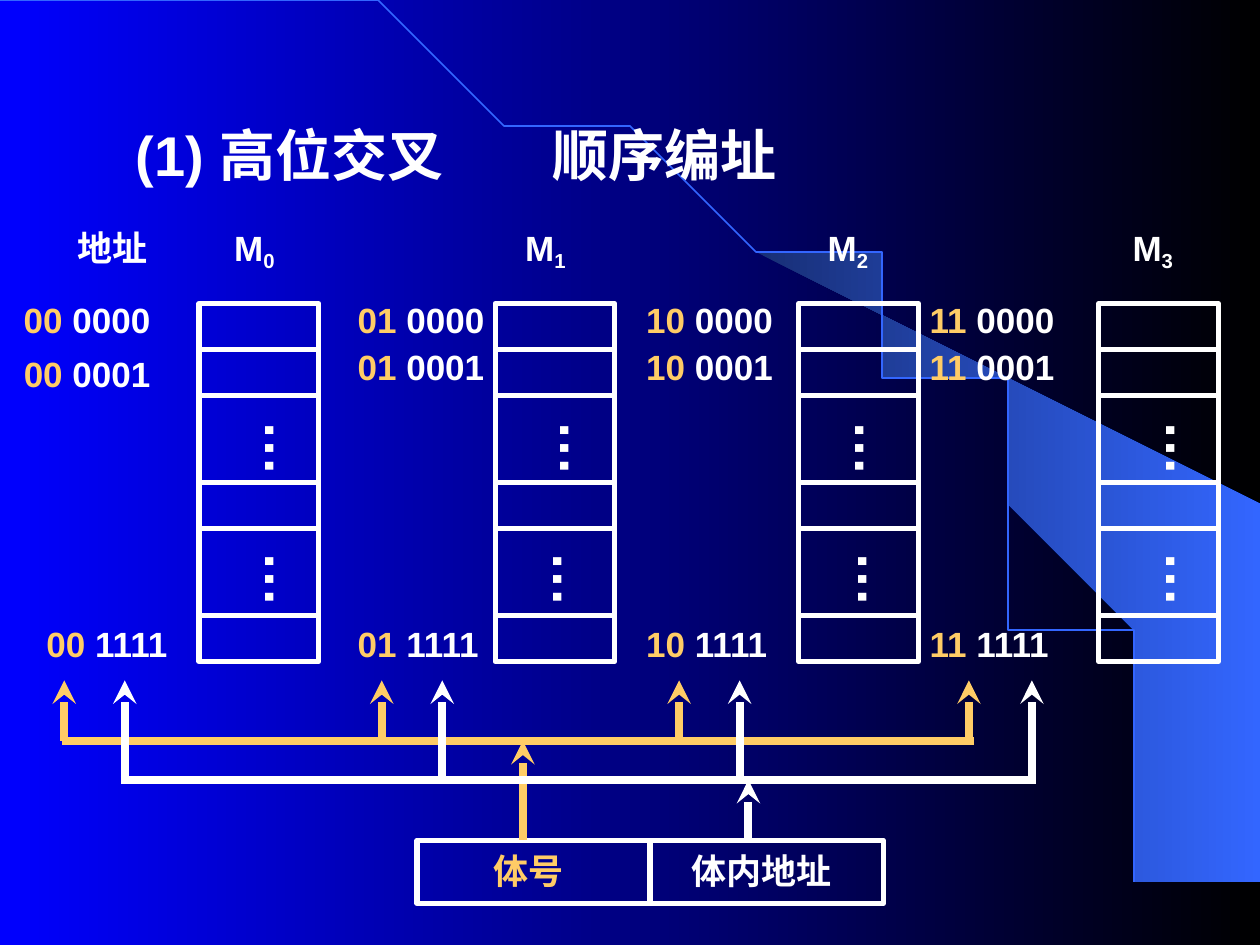
import math

import pptx
import pptx.dml.color
import pptx.enum.shapes
import pptx.enum.text
import pptx.oxml
import pptx.oxml.ns
import pptx.util
from pptx.util import Inches, Pt

RGB = pptx.dml.color.RGBColor
WHITE = RGB(0xFF, 0xFF, 0xFF)
GOLD = RGB(0xFF, 0xCC, 0x66)
BLUE = RGB(0x00, 0x00, 0xFF)
BLACK = RGB(0x00, 0x00, 0x00)
SKY = RGB(0x33, 0x66, 0xFF)
NAVY = RGB(0x18, 0x2F, 0x76)
FONT = "Arial"

TITLES = [("(1) 高位交叉", 0.98, 6.1), ("顺序编址", 4.29, 2.71)]

# Each bank: left edge, left of its name, lefts of the two ellipses,
# high address bits, and (left, top, width, low bits) of each address.
BANKS = [
    (1.58, 1.76, (1.86, 1.86), "00", [(0.09, 2.32, 1.67, "0000"),
                                      (0.09, 2.75, 1.55, "0001"),
                                      (0.27, 4.89, 1.19, "1111")]),
    (3.93, 4.07, (4.2, 4.15), "01", [(2.74, 2.32, 1.99, "0000"),
                                     (2.74, 2.69, 1.83, "0001"),
                                     (2.74, 4.89, 1.19, "1111")]),
    (6.34, 6.47, (6.54, 6.57), "10", [(5.03, 2.32, 1.95, "0000"),
                                      (5.03, 2.69, 1.68, "0001"),
                                      (5.03, 4.89, 1.19, "1111")]),
    (8.72, 8.89, (9.01, 9.01), "11", [(7.28, 2.32, 1.19, "0000"),
                                      (7.28, 2.69, 1.19, "0001"),
                                      (7.28, 4.89, 1.19, "1111")]),
]
BANK_TOP, BANK_WIDTH = 2.41, 0.95
CELL_HEIGHTS = [0.365, 0.365, 0.69, 0.365, 0.69, 0.365]
ELLIPSIS_TOPS = (3.24, 4.28)

# Address fields: label, colour, left of field, left and width of label
FIELDS = [("体内地址", WHITE, 5.16, 5.39, 1.32), ("体号", GOLD, 3.31, 3.82, 0.76)]
FIELD_TOP, FIELD_WIDTH, FIELD_HEIGHT = 6.67, 1.85, 0.5

# Buses: colour, start, end, height, taps up to the banks, feed from the field
BUSES = [
    (GOLD, 0.49, 7.73, 5.88, (0.51, 3.03, 5.39, 7.69), 4.15),
    (WHITE, 0.96, 8.22, 6.19, (0.99, 3.51, 5.87, 8.19), 5.94),
]
TAP_TOP = 5.4

BEAM = [(9.2, 7.48), (9.99, 7.49), (9.99, 4.23), (5.89, 1.73), (6.24, 1.99),
        (6.53, 2.22), (6.85, 2.5), (7.16, 2.8), (7.62, 3.3), (8.03, 3.84),
        (8.32, 4.31), (8.58, 4.79), (8.78, 5.28), (8.93, 5.72), (9.03, 6.09),
        (9.13, 6.56), (9.17, 6.96), (9.2, 7.48)]
ARC_WIDTH, ARC_HEIGHT, ARC_STEPS = 9.2, 7.49, 60


def set_gradient(fill, start, end):
    fill.gradient()
    fill.gradient_angle = 0
    for stop, color in zip(fill.gradient_stops, (start, end)):
        stop.color.rgb = color


def add_outline(slide, points, close):
    builder = slide.shapes.build_freeform(*points[0], scale=Inches(1))
    builder.add_line_segments(points[1:], close=close)
    outline = builder.convert_to_shape()
    outline.shadow.inherit = False
    return outline


def add_text(slide, box, runs, size=20, wrap=False):
    """Add one bold paragraph; runs are (text, colour) pairs."""
    label = slide.shapes.add_textbox(*map(Inches, box))
    frame = label.text_frame
    frame.word_wrap = wrap
    frame.auto_size = pptx.enum.text.MSO_AUTO_SIZE.SHAPE_TO_FIT_TEXT
    paragraph = frame.paragraphs[0]
    paragraph.font.name = FONT
    paragraph.font.size = Pt(size)
    paragraph.font.bold = True
    for text, color in runs:
        run = paragraph.add_run()
        run.text = text
        run.font.color.rgb = color
    return frame


def add_cell(slide, left, top, width, height):
    cell = slide.shapes.add_shape(pptx.enum.shapes.MSO_SHAPE.RECTANGLE,
                                  *map(Inches, (left, top, width, height)))
    cell.shadow.inherit = False
    cell.fill.background()
    cell.line.color.rgb = WHITE
    cell.line.width = Pt(3)


def add_wire(slide, start, end, color, arrow=False):
    """Draw a thick line, with an arrowhead at its start if asked."""
    wire = slide.shapes.add_connector(pptx.enum.shapes.MSO_CONNECTOR.STRAIGHT,
                                      *map(Inches, start + end))
    wire.line.color.rgb = color
    wire.line.width = Pt(4.5)
    namespace = pptx.oxml.ns.nsdecls("a")
    if arrow:
        wire.line._get_or_add_ln().append(
            pptx.oxml.parse_xml(f'<a:headEnd {namespace} type="stealth"/>'))
    wire._element.spPr.append(pptx.oxml.parse_xml(f"<a:effectLst {namespace}/>"))


def add_backdrop(slide):
    set_gradient(slide.background.fill, BLUE, BLACK)
    beam = add_outline(slide, BEAM, close=True)
    set_gradient(beam.fill, NAVY, SKY)
    beam.line.fill.background()
    angles = [math.pi / 2 * step / ARC_STEPS for step in range(ARC_STEPS + 1)]
    arc = add_outline(slide, [(ARC_WIDTH * math.sin(a), ARC_HEIGHT * (1 - math.cos(a)))
                              for a in angles], close=False)
    arc.fill.background()
    arc.line.color.rgb = SKY
    arc.line.width = Pt(1)


def add_bank(slide, number, left, name_left, ellipsis_lefts, high, addresses):
    name = add_text(slide, (name_left, 1.75, 0.54, 0.44),
                    [("M", WHITE), (str(number), WHITE)])
    name.paragraphs[0].runs[1]._r.get_or_add_rPr().set("baseline", "-20000")
    top = BANK_TOP
    for height in CELL_HEIGHTS:
        add_cell(slide, left, top, BANK_WIDTH, height)
        top += height
    for dots_left, dots_top in zip(ellipsis_lefts, ELLIPSIS_TOPS):
        dots = add_text(slide, (dots_left, dots_top, 0.74, 0.55), [("…", WHITE)], 32)
        dots._txBody.bodyPr.set("vert", "eaVert")
    for address_left, address_top, width, low in addresses:
        add_text(slide, (address_left, address_top, width, 0.44),
                 [(high, GOLD), (" " + low, WHITE)], wrap=True)


def main():
    deck = pptx.Presentation()
    deck.slide_width, deck.slide_height = Inches(10), Inches(7.5)
    slide = deck.slides.add_slide(deck.slide_layouts[6])
    add_backdrop(slide)
    for title, left, width in TITLES:
        add_text(slide, (left, 0.91, width, 0.63), [(title, WHITE)], 32, wrap=True)
    add_text(slide, (0.52, 1.75, 0.77, 0.44), [("地址", WHITE)])
    for number, bank in enumerate(BANKS):
        add_bank(slide, number, *bank)
    for label, color, left, label_left, label_width in FIELDS:
        add_cell(slide, left, FIELD_TOP, FIELD_WIDTH, FIELD_HEIGHT)
        add_text(slide, (label_left, 6.69, label_width, 0.43), [(label, color)])
    for color, start, end, level, taps, feed in BUSES:
        add_wire(slide, (start, level), (end, level), color)
        for tap in taps:
            add_wire(slide, (tap, TAP_TOP), (tap, level), color, arrow=True)
        add_wire(slide, (feed, level), (feed, FIELD_TOP), color, arrow=True)
    deck.save("out.pptx")


if __name__ == "__main__":
    main()
